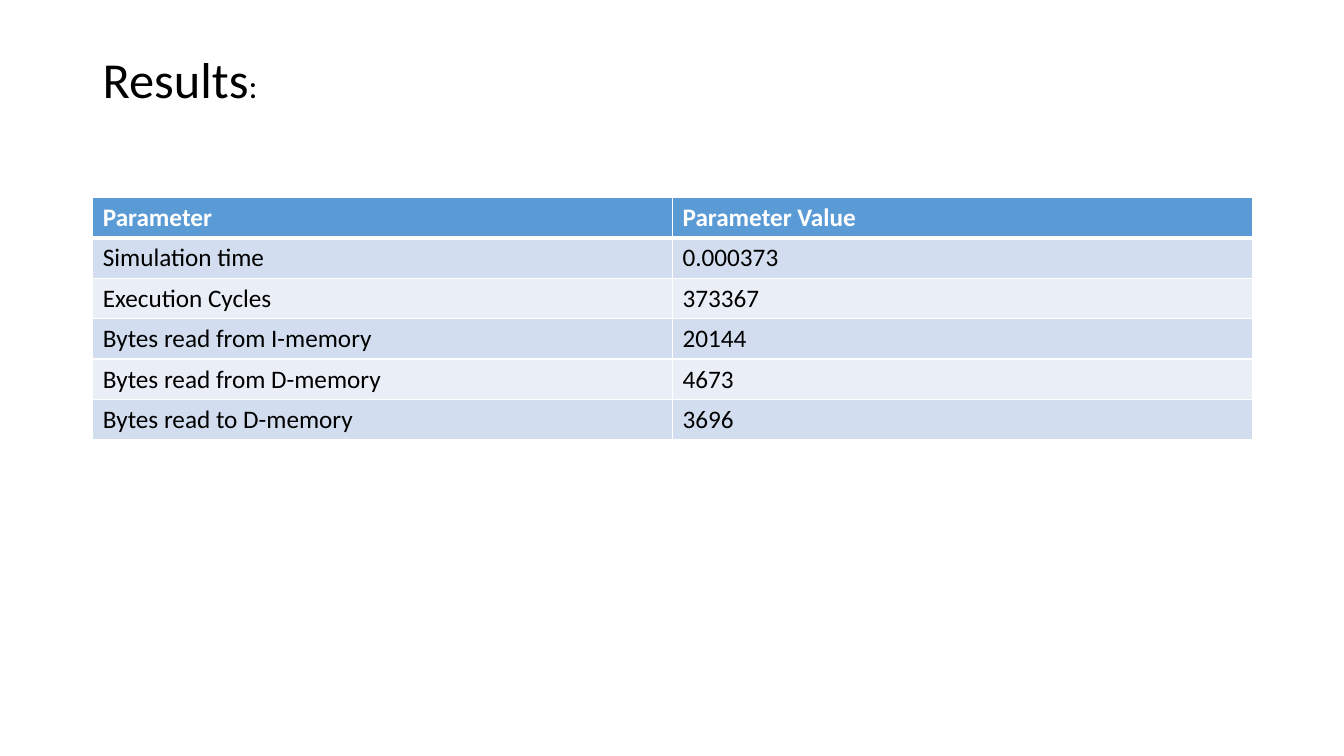
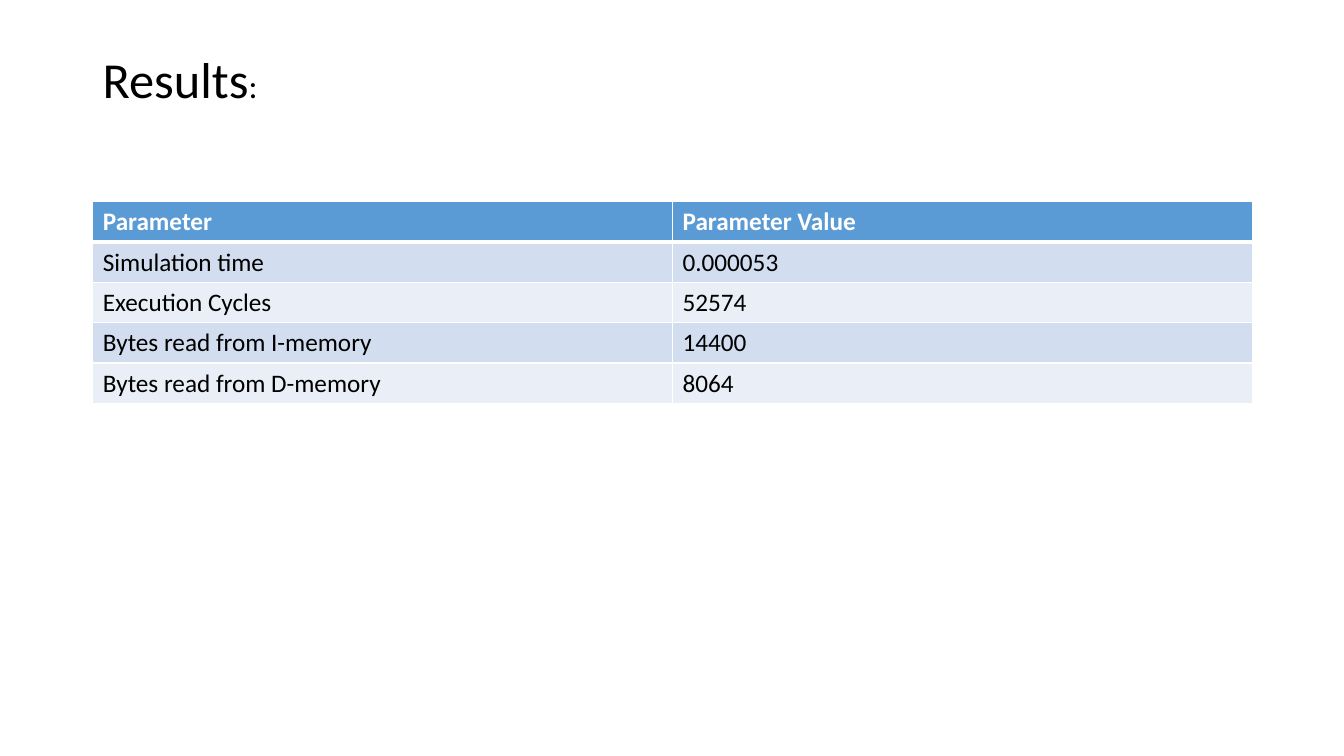
from dataclasses import dataclass

from lxml.etree import SubElement
from pptx import Presentation
from pptx.dml.color import RGBColor
from pptx.enum.text import MSO_ANCHOR as Anchor
from pptx.oxml.ns import qn
from pptx.util import Inches, Pt

# Shared style
FONT = "Calibri"
BLACK = RGBColor(0x00, 0x00, 0x00)
WHITE = RGBColor(0xFF, 0xFF, 0xFF)
HEADER_BLUE = RGBColor(0x5B, 0x9B, 0xD5)
BANDS = (RGBColor(0xD2, 0xDE, 0xEF), RGBColor(0xEA, 0xEF, 0xF7))

LEFT = Inches(0.92)
COL_WIDTH = Inches(5.75)
ROW_HEIGHT = Inches(0.4)
HEADER = ("Parameter", "Parameter Value")
THIN, THICK = Pt(1), Pt(3)


@dataclass(frozen=True)
class Result:
    table_top: float
    rows: tuple[tuple[str, str], ...]


RESULTS = (
    Result(1.96, (
        ("Simulation time", "0.000373"),
        ("Execution Cycles", "373367"),
        ("Bytes read from I-memory", "20144"),
        ("Bytes read from D-memory", "4673"),
        ("Bytes read to D-memory", "3696"),
    )),
    Result(2, (
        ("Simulation time", "0.000053"),
        ("Execution Cycles", "52574"),
        ("Bytes read from I-memory", "14400"),
        ("Bytes read from D-memory", "8064"),
    )),
)


def add_run(p, text: str, size: int, color: RGBColor, bold: bool = False) -> None:
    r = p.add_run()
    r.text = text
    for name, value in {"name": FONT, "size": Pt(size), "bold": bold}.items():
        setattr(r.font, name, value)
    r.font.color.rgb = color


def add_title(s) -> None:
    tf = s.shapes.add_textbox(LEFT, Inches(0.4), Inches(10.68), Inches(0.84)).text_frame
    for name, value in {"word_wrap": True, "vertical_anchor": Anchor.MIDDLE}.items():
        setattr(tf, name, value)
    p = tf.paragraphs[0]
    p.line_spacing = 0.9
    add_run(p, "Results", 36, BLACK)
    add_run(p, ":", 24, BLACK)


def set_borders(cell, top: int, bottom: int) -> None:
    props = cell._tc.get_or_add_tcPr()
    for side, width in {"L": THIN, "R": THIN, "T": top, "B": bottom}.items():
        line = SubElement(props, qn(f"a:ln{side}"), w=str(width))
        fill = SubElement(line, qn("a:solidFill"))
        SubElement(fill, qn("a:srgbClr"), val=str(WHITE))


def add_results_table(s, result: Result) -> None:
    rows = (HEADER, *result.rows)
    table = s.shapes.add_table(
        len(rows), len(HEADER), LEFT, Inches(result.table_top),
        COL_WIDTH * len(HEADER), ROW_HEIGHT * len(rows),
    ).table
    for i, row in enumerate(rows):
        is_header = i == 0
        for j, text in enumerate(row):
            cell = table.cell(i, j)
            # The thick rule separates the header from the body
            set_borders(cell, THICK if i == 1 else THIN, THICK if is_header else THIN)
            cell.fill.solid()
            cell.fill.fore_color.rgb = HEADER_BLUE if is_header else BANDS[(i - 1) % 2]
            add_run(cell.text_frame.paragraphs[0], text, 18,
                    WHITE if is_header else BLACK, is_header)


def main() -> None:
    prs = Presentation()
    prs.slide_width, prs.slide_height = Inches(13.33), Inches(7.5)
    blank = prs.slide_layouts[6]
    for result in RESULTS:
        s = prs.slides.add_slide(blank)
        add_title(s)
        add_results_table(s, result)
    prs.save("out.pptx")


if __name__ == "__main__":
    main()
